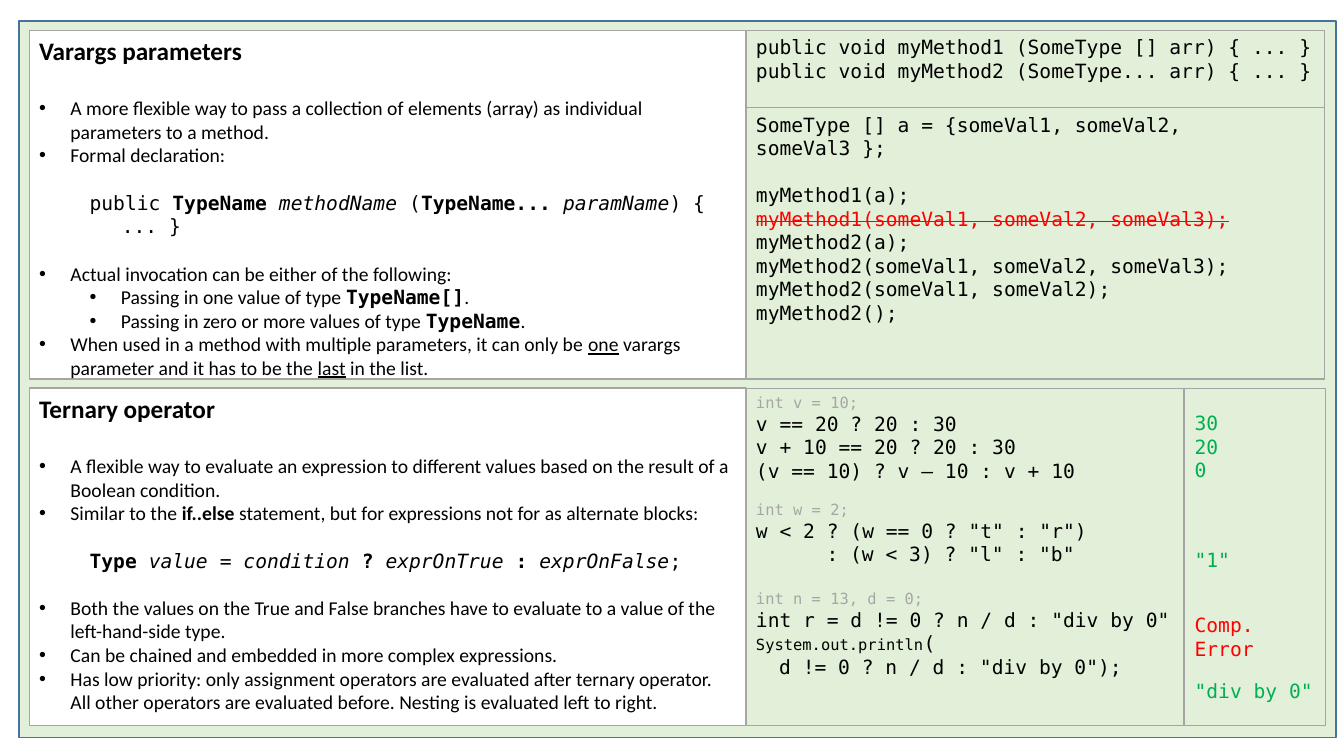
from dataclasses import dataclass

from lxml.etree import SubElement
from pptx import Presentation
from pptx.dml.color import RGBColor as Rgb
from pptx.enum.shapes import MSO_SHAPE as Preset
from pptx.enum.text import MSO_ANCHOR as Anchor, PP_ALIGN as Align
from pptx.oxml.ns import qn
from pptx.util import Inches, Pt


@dataclass(frozen=True)
class Theme:
    sans: str = "Calibri"
    mono: str = "DejaVu Sans Mono"
    title: int = 18
    body: int = 14
    small: int = 11
    ink: str = "000000"
    muted: str = "A6A6A6"
    wrong: str = "FF0000"
    right: str = "00B050"
    paper: str = "FFFFFF"
    backdrop: str = "E2F0D9"
    frame: str = "43739E"
    rule: str = "A5A5A5"


THEME = Theme()


@dataclass
class Line:
    """A paragraph; spans are (text, marks) pairs, marks drawn from b, i, u, s (strike), m (mono)."""
    spans: list
    gap: float = 0
    left: float = 0
    hanging: float = 0
    bullet: bool = False
    size: int = THEME.body
    color: str = THEME.ink


def title(text):
    return Line([(text, "b")], size=THEME.title)


def bullet(*spans, gap=0, level=0):
    return Line(spans, gap, left=0.31 + 0.5 * level, hanging=0.31, bullet=True)


def code(text, marks="", **options):
    return Line([(text, marks + "m")], **options)


def setup(text, gap=0):
    return code(text, gap=gap, size=THEME.small, color=THEME.muted)


class SlideBuilder:
    def __init__(self, deck, theme):
        self.theme = theme
        self.slide = deck.slides.add_slide(deck.slide_layouts[6])

    def panel(self, left, top, width, height, lines=(), fill=None, line=None, weight=0.75, inset=0.05):
        box = self.slide.shapes.add_shape(
            Preset.RECTANGLE, Inches(left), Inches(top), Inches(width), Inches(height))
        box.shadow.inherit = False
        if fill:
            box.fill.solid()
            box.fill.fore_color.rgb = Rgb.from_string(fill)
        else:
            box.fill.background()
        box.line.color.rgb = Rgb.from_string(line or self.theme.rule)
        box.line.width = Pt(weight)
        if lines:
            frame = box.text_frame
            frame.word_wrap = True
            frame.vertical_anchor = Anchor.TOP
            frame.margin_top = Inches(inset)
            for index, item in enumerate(lines):
                self.set_line(frame.add_paragraph() if index else frame.paragraphs[0], item)

    def set_line(self, para, item):
        para.alignment = Align.LEFT
        para.space_before = Pt(item.gap)
        properties = para._p.get_or_add_pPr()
        properties.set("marL", str(Inches(item.left)))
        properties.set("indent", str(-Inches(item.hanging)))
        if item.bullet:
            SubElement(properties, qn("a:buFont"), typeface="Arial")
            SubElement(properties, qn("a:buChar"), char="•")
        for text, marks, *size in item.spans:
            span = para.add_run()
            span.text = text
            font = span.font
            font.name = self.theme.mono if "m" in marks else self.theme.sans
            font.size = Pt(size[0] if size else item.size)
            font.color.rgb = Rgb.from_string(item.color)
            font.bold = "b" in marks
            font.italic = "i" in marks
            font.underline = "u" in marks
            if "s" in marks:
                span._r.get_or_add_rPr().set("strike", "sngStrike")


VARARGS = [
    title("Varargs parameters"),
    bullet(("A more flexible way to pass a collection of elements (array) as individual "
            "parameters to a method.", ""), gap=22),
    bullet(("Formal declaration:", "")),
    Line([("public ", "m"), ("TypeName ", "bm"), ("methodName", "im"), (" (", "m"),
          ("TypeName... ", "bm"), ("paramName", "im"), (") {", "m")], gap=17, left=0.5),
    code("... }", left=0.82),
    bullet(("Actual invocation can be either of the following:", ""), gap=17),
    bullet(("Passing in one value of type ", ""), ("TypeName[]", "bm"), (".", ""), level=1),
    bullet(("Passing in zero or more values of type ", ""), ("TypeName", "bm"), (".", ""), level=1),
    bullet(("When used in a method with multiple parameters, it can only be ", ""), ("one", "u"),
           (" varargs parameter and it has to be the ", ""), ("last", "u"), (" in the list.", "")),
]
DECLARATIONS = [
    code("public void myMethod1 (SomeType [] arr) { ... }"),
    code("public void myMethod2 (SomeType... arr) { ... }"),
]
CALLS = [
    code("SomeType [] a = {someVal1, someVal2, someVal3 };"),
    code("myMethod1(a);", gap=16.5),
    code("myMethod1(someVal1, someVal2, someVal3);", "s", color=THEME.wrong),
    code("myMethod2(a);"),
    code("myMethod2(someVal1, someVal2, someVal3);"),
    code("myMethod2(someVal1, someVal2);"),
    code("myMethod2();"),
]
TERNARY = [
    title("Ternary operator"),
    bullet(("A flexible way to evaluate an expression to different values based on the result "
            "of a Boolean condition.", ""), gap=22),
    bullet(("Similar to the ", ""), ("if..else", "b"),
           (" statement, but for expressions not for as alternate blocks:", "")),
    Line([("Type ", "bm"), ("value", "im"), (" = ", "m"), ("condition ", "im"), ("? ", "bm"),
          ("exprOnTrue ", "im"), (": ", "bm"), ("exprOnFalse", "im"), (";", "m")], gap=17, left=0.5),
    bullet(("Both the values on the True and False branches have to evaluate to a value of the "
            "left-hand-side type.", ""), gap=17),
    bullet(("Can be chained and embedded in more complex expressions.", "")),
    bullet(("Has low priority: only assignment operators are evaluated after ternary operator.", "")),
    Line([("All other operators are evaluated before. Nesting is evaluated left to right.", "")],
         left=0.31),
]
EXPRESSIONS = [
    setup("int v = 10;"),
    code("v == 20 ? 20 : 30"),
    code("v + 10 == 20 ? 20 : 30"),
    code("(v == 10) ? v – 10 : v + 10"),
    setup("int w = 2;", gap=13),
    code('w < 2 ? (w == 0 ? "t" : "r")'),
    code(': (w < 3) ? "l" : "b"', left=0.7),
    setup("int n = 13, d = 0;", gap=16.5),
    code('int r = d != 0 ? n / d : "div by 0"'),
    Line([("System.out.println", "m", THEME.small), ("(", "m")]),
    code('d != 0 ? n / d : "div by 0");', left=0.23),
]
RESULTS = [
    code("30", color=THEME.right),
    code("20", color=THEME.right),
    code("0", color=THEME.right),
    code('"1"', gap=47, color=THEME.right),
    code("Comp. Error", gap=30, color=THEME.wrong),
    code('"div by 0"', gap=13, color=THEME.right),
]


def main():
    deck = Presentation()
    deck.slide_width, deck.slide_height = Inches(13.33), Inches(7.5)
    page = SlideBuilder(deck, THEME)
    notes_left, code_left, notes_width, code_width = 0.29, 7.4, 7.11, 5.74
    upper, lower, lower_height = 0.3, 3.85, 3.35

    page.panel(0.19, 0.21, 13.06, 7.11, fill=THEME.backdrop, line=THEME.frame, weight=1)
    page.panel(notes_left, upper, notes_width, 3.46, VARARGS, fill=THEME.paper, weight=1)
    page.panel(code_left, upper, code_width, 0.77, DECLARATIONS)
    page.panel(code_left, 1.07, code_width, 2.69, CALLS)
    page.panel(notes_left, lower, notes_width, lower_height, TERNARY, fill=THEME.paper, weight=1)
    page.panel(code_left, lower, 4.34, lower_height, EXPRESSIONS)
    page.panel(11.75, lower, 1.4, lower_height, RESULTS, inset=0.23)
    deck.save("out.pptx")


if __name__ == "__main__":
    main()
